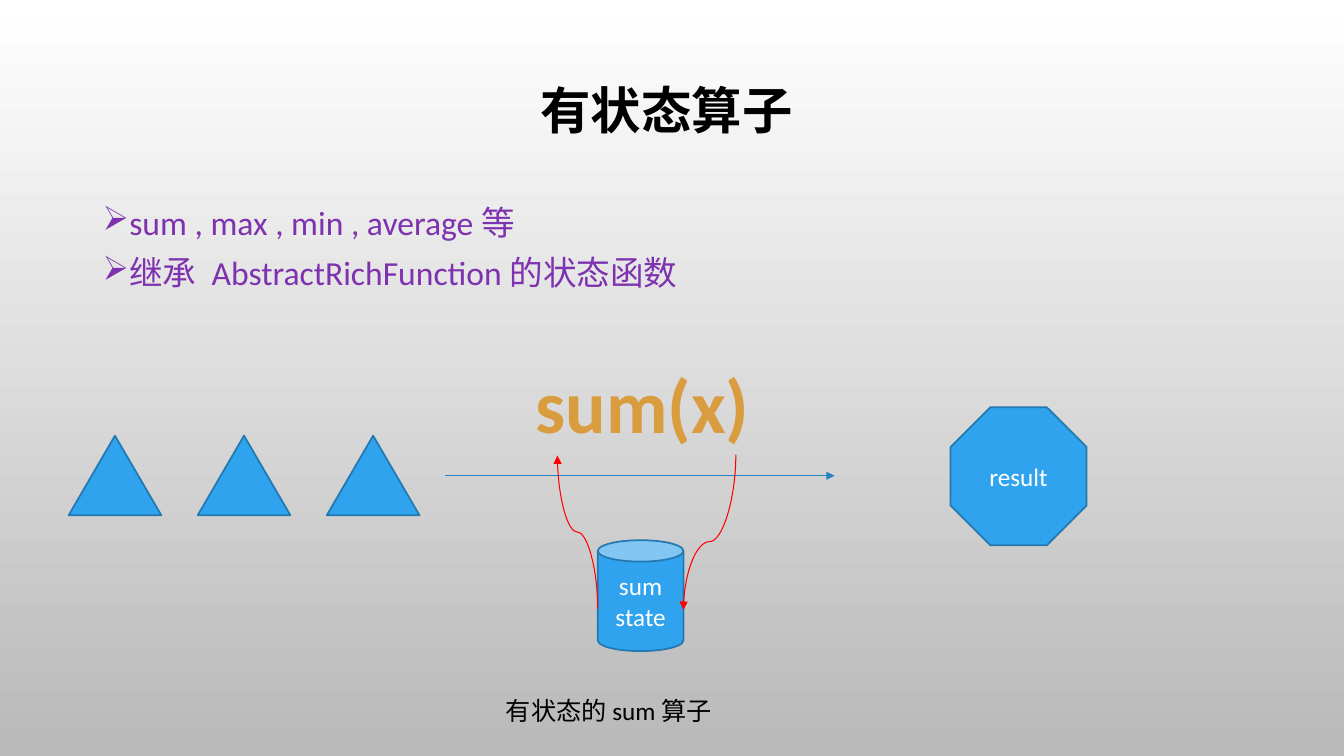
"""Build the slide on stateful operators with the sum(x) diagram."""
from lxml import etree
from pptx import Presentation
from pptx.dml.color import RGBColor
from pptx.enum.shapes import MSO_CONNECTOR, MSO_SHAPE
from pptx.enum.text import MSO_ANCHOR, MSO_AUTO_SIZE, PP_ALIGN
from pptx.oxml.ns import qn
from pptx.util import Pt

WHITE = RGBColor(0xFF, 0xFF, 0xFF)
BLACK = RGBColor(0x00, 0x00, 0x00)
GREY = RGBColor(0xB9, 0xB9, 0xB9)
PURPLE = RGBColor(0x7E, 0x32, 0xB0)
GOLD = RGBColor(0xD9, 0x9C, 0x3F)
BLUE = RGBColor(0x2F, 0xA3, 0xEE)
OUTLINE = RGBColor(0x23, 0x79, 0xB0)
FLOW = RGBColor(0x26, 0x83, 0xBF)
RED = RGBColor(0xFF, 0x00, 0x00)
LATIN = "Calibri"
CJK = "Noto Sans CJK SC"


def write(shape, text, size, color, align=PP_ALIGN.LEFT, bold=False, font=LATIN):
    shape.text_frame.text = text
    for paragraph in shape.text_frame.paragraphs:
        paragraph.alignment = align
        for run in paragraph.runs:
            run.font.size = Pt(size)
            run.font.bold = bold
            run.font.color.rgb = color
            run.font.name = font
            etree.SubElement(run.font._element, qn("a:ea"), typeface=CJK)


def arrow(kind, start, end, color):
    connector = slide.shapes.add_connector(kind, *map(Pt, start + end))
    connector.line.color.rgb = color
    connector.line.width = Pt(0.75)
    etree.SubElement(connector.line._get_or_add_ln(), qn("a:tailEnd"), type="triangle")
    etree.SubElement(connector._element.spPr, qn("a:effectLst"))
    return connector


prs = Presentation()
prs.slide_width, prs.slide_height = Pt(960), Pt(540)
slide = prs.slides.add_slide(prs.slide_layouts[6])

backdrop = slide.background.fill
backdrop.gradient()
backdrop.gradient_angle = 270
for stop, color in zip(backdrop.gradient_stops, (WHITE, GREY)):
    stop.color.rgb = color

title = slide.shapes.add_textbox(Pt(66.24), Pt(28.8), Pt(828), Pt(104.4))
title.text_frame.word_wrap = True
title.text_frame.vertical_anchor = MSO_ANCHOR.MIDDLE
write(title, "有状态算子 ", 36, BLACK, PP_ALIGN.CENTER, True, CJK)
title.text_frame.paragraphs[0].line_spacing = 0.9

operators = slide.shapes.add_textbox(Pt(66.24), Pt(144), Pt(828), Pt(90))
operators.text_frame.word_wrap = True
write(operators, "sum , max , min , average 等\n继承  AbstractRichFunction 的状态函数", 24, PURPLE)
for index, paragraph in enumerate(operators.text_frame.paragraphs):
    paragraph.line_spacing = 0.9
    paragraph.space_before = Pt(10 * index)
    properties = paragraph._p.get_or_add_pPr()
    properties.set("marL", str(Pt(18)))
    properties.set("indent", str(-Pt(18)))
    bullet_color = etree.SubElement(properties, qn("a:buClr"))
    etree.SubElement(bullet_color, qn("a:srgbClr"), val=str(PURPLE))
    etree.SubElement(properties, qn("a:buChar"), char="➢")

caption = slide.shapes.add_textbox(Pt(354.24), Pt(493.2), Pt(179.28), Pt(28.8))
caption.text_frame.word_wrap = True
caption.text_frame.auto_size = MSO_AUTO_SIZE.SHAPE_TO_FIT_TEXT
write(caption, "有状态的 sum 算子", 18, BLACK)

arrow(MSO_CONNECTOR.STRAIGHT, (318.24, 339.84), (596.16, 339.84), FLOW)

inputs = [
    (MSO_SHAPE.ISOSCELES_TRIANGLE, 49 + 92.2 * i, 311.2, 66.24, 56.88, "")
    for i in range(3)
]
state = (MSO_SHAPE.CAN, 426.96, 385.92, 61.2, 79.2, "sum\nstate")
result = (MSO_SHAPE.OCTAGON, 678.96, 290.88, 97.2, 98.64, "result")
for preset, left, top, width, height, label in inputs + [state, result]:
    node = slide.shapes.add_shape(preset, Pt(left), Pt(top), Pt(width), Pt(height))
    node.shadow.inherit = False
    node.fill.solid()
    node.fill.fore_color.rgb = BLUE
    node.line.color.rgb = OUTLINE
    node.line.width = Pt(1.25)
    if label:
        node.text_frame.vertical_anchor = MSO_ANCHOR.MIDDLE
        write(node, label, 18, WHITE, PP_ALIGN.CENTER)

function = slide.shapes.add_textbox(Pt(365.04), Pt(252), Pt(187.92), Pt(72.72))
function.text_frame.word_wrap = False
function.text_frame.auto_size = MSO_AUTO_SIZE.SHAPE_TO_FIT_TEXT
write(function, "sum(x)", 54, GOLD, PP_ALIGN.CENTER, True)

for start, end, degrees, bend in (
    ((357.84, 394.56), (467.28, 365.76), 270, 0.5),
    ((451.44, 361.44), (562.32, 398.88), 90, 0.561),
):
    curve = arrow(MSO_CONNECTOR.CURVE, start, end, RED)
    curve._element.spPr.find(qn("a:xfrm")).set("rot", str(degrees * 60000))
    guides = curve._element.spPr.find(qn("a:prstGeom")).get_or_add_avLst()
    etree.SubElement(guides, qn("a:gd"), name="adj1", fmla=f"val {bend * 100000:.0f}")

prs.save("out.pptx")
